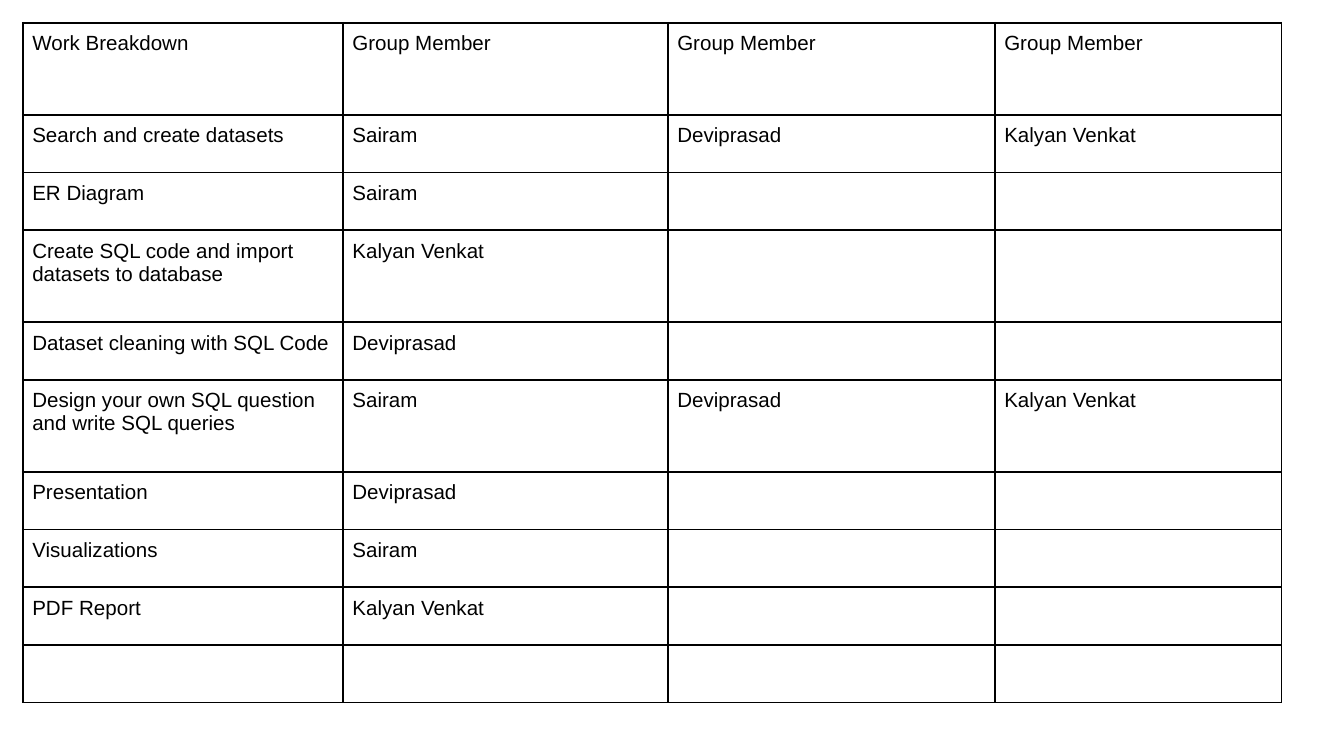
from dataclasses import dataclass

from lxml import etree
from pptx import Presentation
from pptx import util as u
from pptx.dml import color
from pptx.oxml import ns


@dataclass(frozen=True)
class Theme:
    ink: str = "000000"
    font: str = "Arial"
    size: int = 11
    border: int = 1
    margin: float = 0.18


THEME = Theme()
COLS = (6.05, 6.14, 6.18, 5.42)
TALL, SHORT = 1.74, 1.09
TALL_ROWS = {0, 3, 5}
TEAM = ("Sairam", "Deviprasad", "Kalyan Venkat")
ROWS = (
    ("Work Breakdown",) + ("Group Member",) * 3,
    ("Search and create datasets", *TEAM),
    ("ER Diagram", "Sairam"),
    ("Create SQL code and import datasets to database", "Kalyan Venkat"),
    ("Dataset cleaning with SQL Code", "Deviprasad"),
    ("Design your own SQL question and write SQL queries", *TEAM),
    ("Presentation", "Deviprasad"),
    ("Visualizations", "Sairam"),
    ("PDF Report", "Kalyan Venkat"),
    (),
)


def set_attrs(obj, values):
    for name, value in values.items():
        setattr(obj, name, value)


def add_borders(cell):
    tc_pr = cell._tc.get_or_add_tcPr()
    for i, side in enumerate(("lnL", "lnR", "lnT", "lnB")):
        ln = etree.Element(ns.qn(f"a:{side}"), w=str(u.Pt(THEME.border)))
        fill = etree.SubElement(ln, ns.qn("a:solidFill"))
        etree.SubElement(fill, ns.qn("a:srgbClr"), val=THEME.ink)
        tc_pr.insert(i, ln)


def write_cell(cell, words):
    sides = ("left", "right", "top", "bottom")
    set_attrs(cell, {f"margin_{side}": u.Cm(THEME.margin) for side in sides})
    r = cell.text_frame.paragraphs[0].add_run()
    r.text = words
    set_attrs(r.font, {"name": THEME.font, "size": u.Pt(THEME.size), "bold": False})
    r.font.color.rgb = color.RGBColor.from_string(THEME.ink)


def add_work_table(s, left, top):
    heights = [TALL if i in TALL_ROWS else SHORT for i in range(len(ROWS))]
    table = s.shapes.add_table(len(ROWS), len(COLS), u.Cm(left), u.Cm(top),
                               u.Cm(sum(COLS)), u.Cm(sum(heights))).table
    set_attrs(table, {"first_row": False, "horz_banding": False})
    for col, width in zip(table.columns, COLS):
        col.width = u.Cm(width)
    for row, height, entries in zip(table.rows, heights, ROWS):
        row.height = u.Cm(height)
        for cell in row.cells:
            cell.fill.background()
            add_borders(cell)
        for cell, words in zip(row.cells, entries):
            write_cell(cell, words)


def main():
    """Build the work breakdown slide."""
    prs = Presentation()
    set_attrs(prs, {"slide_width": u.Cm(25.4), "slide_height": u.Cm(14.29)})
    s = prs.slides.add_slide(prs.slide_layouts[6])
    add_work_table(s, 0.43, 0.43)
    prs.save("out.pptx")


if __name__ == "__main__":
    main()
